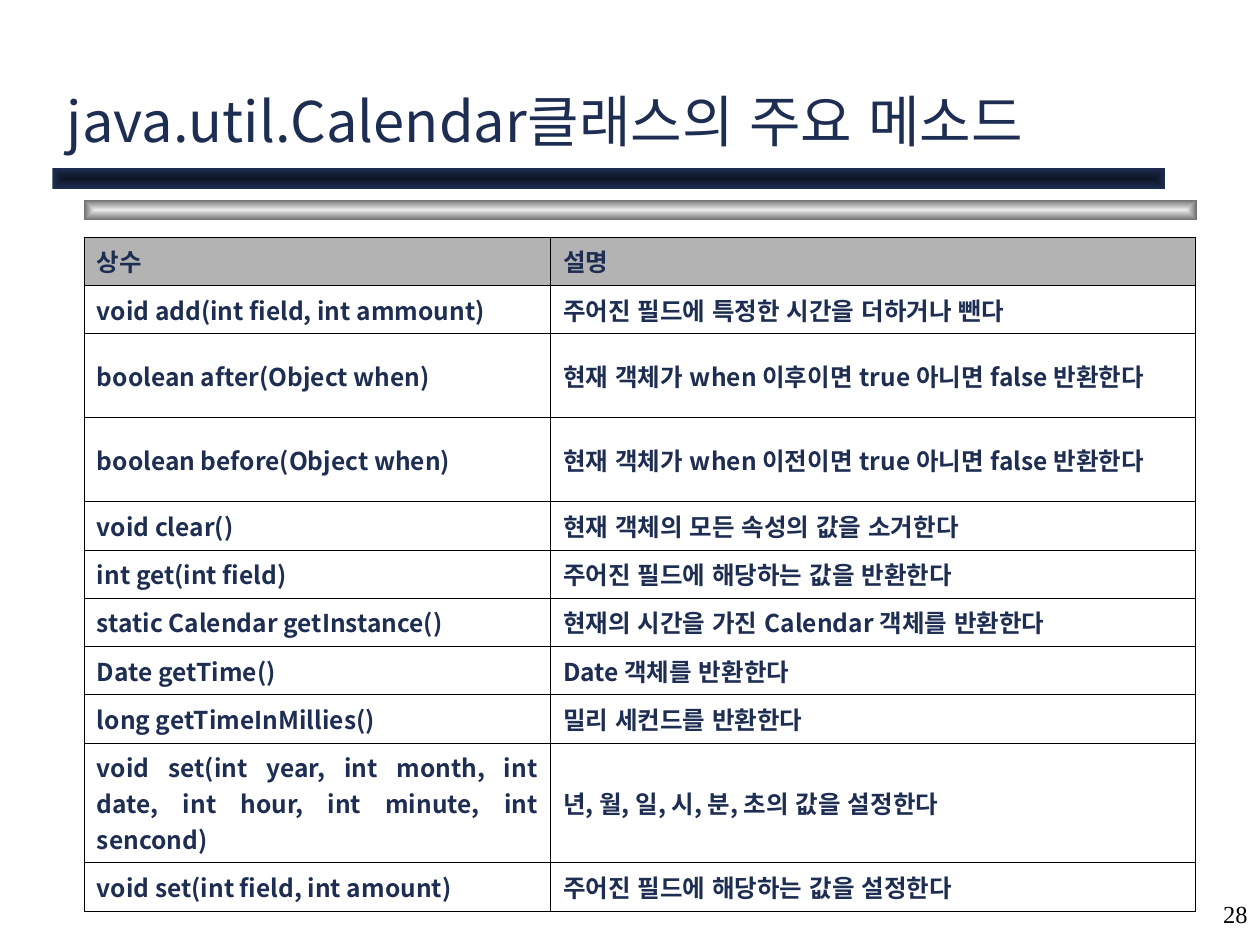
import pptx
import pptx.dml.color
import pptx.enum.lang
import pptx.enum.shapes
import pptx.enum.text
import pptx.oxml
import pptx.oxml.ns
import pptx.util
from lxml import etree

Pt = pptx.util.Pt
Align = pptx.enum.text.PP_ALIGN
Anchor = pptx.enum.text.MSO_ANCHOR
COLOURS = {
    "navy": "1E2E53", "midnight": "0E1526", "silver": "EAEAEA",
    "grey": "6C6C6C", "header": "B3B3B3", "black": "000000",
}
KOREAN = "Noto Sans CJK KR"
LANGUAGE = pptx.enum.lang.MSO_LANGUAGE_ID.KOREAN
TITLE = {"name": KOREAN, "size": Pt(32), "language_id": LANGUAGE}
CELL = {"name": KOREAN, "size": Pt(14), "bold": True, "language_id": LANGUAGE}
NUMBER = {"name": "Times New Roman", "size": Pt(14)}
LINE_HEIGHT, ROW_PADDING = 20.4, 7.2
METHODS = [
    ("상수", "설명", 1),
    ("void add(int field, int ammount)", "주어진 필드에 특정한 시간을 더하거나 뺀다", 1),
    ("boolean after(Object when)", "현재 객체가 when 이후이면 true 아니면 false 반환한다", 2),
    ("boolean before(Object when)", "현재 객체가 when 이전이면 true 아니면 false 반환한다", 2),
    ("void clear()", "현재 객체의 모든 속성의 값을 소거한다", 1),
    ("int get(int field)", "주어진 필드에 해당하는 값을 반환한다", 1),
    ("static Calendar getInstance()", "현재의 시간을 가진 Calendar 객체를 반환한다", 1),
    ("Date getTime()", "Date 객체를 반환한다", 1),
    ("long getTimeInMillies()", "밀리 세컨드를 반환한다", 1),
    ("void set(int year, int month, int date, int hour, int minute, int sencond)",
     "년, 월, 일, 시, 분, 초의 값을 설정한다", 3),
    ("void set(int field, int amount)", "주어진 필드에 해당하는 값을 설정한다", 1),
]


def colour(name):
    """Return the named colour."""
    return pptx.dml.color.RGBColor.from_string(COLOURS[name])


def write(frame, text, style, tint, align):
    """Fill a text frame with one formatted paragraph."""
    para = frame.paragraphs[0]
    para.alignment = align
    span = para.add_run()
    span.text = text
    for key, value in style.items():
        setattr(span.font, key, value)
    span.font.color.rgb = colour(tint)
    etree.SubElement(span._r.get_or_add_rPr(), pptx.oxml.ns.qn("a:ea"),
                     typeface=style["name"])


def add_text(page, place, text, style, tint, align, anchor):
    """Add a text box with one line of text."""
    box = page.shapes.add_textbox(*map(Pt, place))
    box.text_frame.word_wrap = True
    box.text_frame.vertical_anchor = anchor
    write(box.text_frame, text, style, tint, align)


def add_bar(page, left, top, inner, outer):
    """Add a bar shaded from its centre to its edges."""
    bar = page.shapes.add_shape(pptx.enum.shapes.MSO_SHAPE.RECTANGLE,
                                Pt(left), Pt(top), Pt(636), Pt(12))
    bar.shadow.inherit = False
    bar.line.fill.background()
    bar.fill.gradient()
    for stop, name in zip(bar.fill.gradient_stops, (inner, outer)):
        stop.color.rgb = colour(name)
    linear = bar._element.spPr.find(".//" + pptx.oxml.ns.qn("a:lin"))
    centre = pptx.oxml.parse_xml(
        f'<a:path {pptx.oxml.ns.nsdecls("a")} path="rect">'
        '<a:fillToRect l="50000" t="50000" r="50000" b="50000"/></a:path>')
    linear.getparent().replace(linear, centre)


def add_borders(cell):
    """Draw a hairline on all four sides of a cell."""
    for index, side in enumerate(("lnL", "lnR", "lnT", "lnB")):
        line = pptx.oxml.parse_xml(
            f'<a:{side} {pptx.oxml.ns.nsdecls("a")} w="{Pt(0.06)}"><a:solidFill>'
            f'<a:srgbClr val="{COLOURS["black"]}"/></a:solidFill></a:{side}>')
        cell._tc.get_or_add_tcPr().insert(index, line)


def add_methods(page):
    """Add the table of methods and their descriptions."""
    heights = [lines * LINE_HEIGHT + ROW_PADDING for *_, lines in METHODS]
    table = page.shapes.add_table(len(METHODS), 2, Pt(48.2), Pt(135.4),
                                  Pt(635), Pt(sum(heights))).table
    for column, width in zip(table.columns, (266.4, 368.6)):
        column.width = Pt(width)
    for index, (*texts, _) in enumerate(METHODS):
        table.rows[index].height = Pt(heights[index])
        for cell, text in zip(table.rows[index].cells, texts):
            cell.vertical_anchor = Anchor.MIDDLE
            if index == 0:
                cell.fill.solid()
                cell.fill.fore_color.rgb = colour("header")
            else:
                cell.fill.background()
            add_borders(cell)
            write(cell.text_frame, text, CELL, "navy", Align.JUSTIFY)


def main():
    """Build the slide and save it."""
    deck = pptx.Presentation()
    deck.slide_width, deck.slide_height = Pt(720), Pt(540)
    page = deck.slides.add_slide(deck.slide_layouts[6])
    add_bar(page, 48, 114, "silver", "grey")
    add_bar(page, 30, 96, "midnight", "navy")
    add_text(page, (570, 504, 150, 36), "28", NUMBER, "black",
             Align.RIGHT, Anchor.MIDDLE)
    add_text(page, (31, 43.2, 646.6, 48.2), "java.util.Calendar클래스의 주요 메소드",
             TITLE, "navy", Align.LEFT, Anchor.BOTTOM)
    add_methods(page)
    deck.save("out.pptx")


if __name__ == "__main__":
    main()
